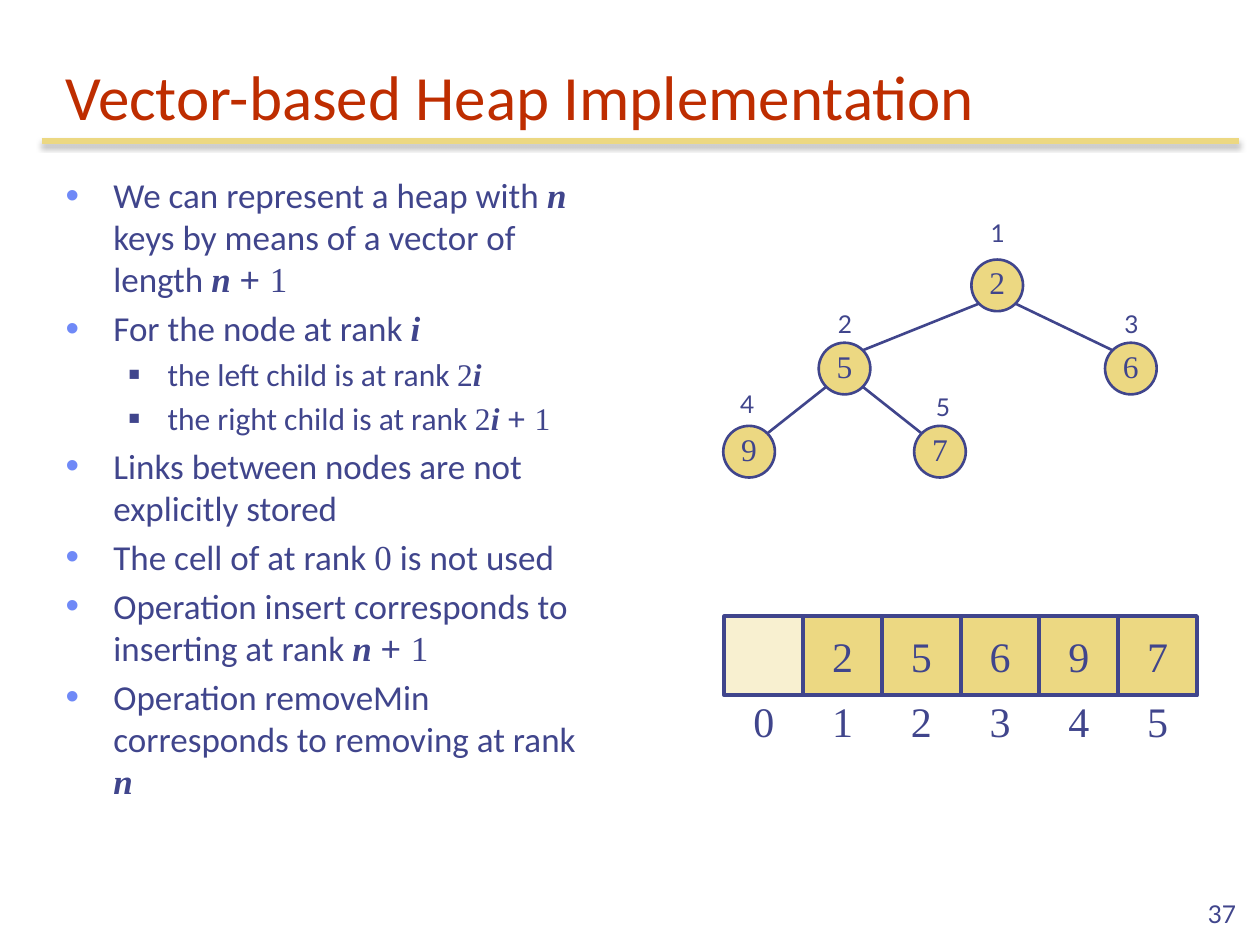
import math
from dataclasses import dataclass

import pptx
import pptx.dml.color
import pptx.enum.shapes
import pptx.enum.text
import pptx.oxml
import pptx.oxml.ns
import pptx.util

Inches, Pt = pptx.util.Inches, pptx.util.Pt
Align, Anchor = pptx.enum.text.PP_ALIGN, pptx.enum.text.MSO_ANCHOR
Shape = pptx.enum.shapes.MSO_SHAPE
STRAIGHT = pptx.enum.shapes.MSO_CONNECTOR.STRAIGHT


@dataclass(frozen=True)
class Theme:
    ink: str = "40458C"
    heading: str = "BE2D00"
    gold: str = "ECD882"
    pale: str = "F8F0D0"
    bullet: str = "6F89F7"
    sans: str = "Calibri"
    serif: str = "Times New Roman"
    plain: str = "Arial"
    label: str = "Lato"
    title_size: int = 36
    body_size: int = 20
    sub_size: int = 18
    node_size: int = 18
    cell_size: int = 24
    label_size: int = 14


THEME = Theme()

# Span styles: font name, bold italic
STYLES = {
    "text": (THEME.sans, False),
    "variable": (THEME.serif, True),
    "digit": (THEME.serif, False),
    "sign": (THEME.plain, False),
}
# Level: size, text indent, hanging indent, bullet, bullet colour, bullet percent
LEVELS = [
    (THEME.body_size, 0.38, 0.38, "•", THEME.bullet, 110),
    (THEME.sub_size, 0.81, 0.31, "■", THEME.ink, 60),
]
PLUS_ONE = [("+ ", "sign"), ("1", "digit")]
POINTS = [
    (0, [("We can represent a heap with ", "text"), ("n", "variable"),
         (" keys by means of a vector of length ", "text"), ("n ", "variable"), *PLUS_ONE]),
    (0, [("For the node at rank ", "text"), ("i", "variable")]),
    (1, [("the left child is at rank ", "text"), ("2", "digit"), ("i", "variable")]),
    (1, [("the right child is at rank ", "text"), ("2", "digit"), ("i ", "variable"), *PLUS_ONE]),
    (0, [("Links between nodes are not explicitly stored", "text")]),
    (0, [("The cell of at rank ", "text"), ("0", "digit"), (" is not used", "text")]),
    (0, [("Operation insert corresponds to inserting at rank ", "text"),
         ("n ", "variable"), *PLUS_ONE]),
    (0, [("Operation removeMin corresponds to removing at rank ", "text"), ("n", "variable")]),
]

KEYS = [2, 5, 6, 9, 7]
# Per rank: share of the tree's width, label shift sideways, label rise
NODE_PLACES = [(0.65, 0, 0.38), (0.25, 0, 0.32), (1, 0, 0.32), (0, -0.02, 0.34), (0.5, 0.02, 0.32)]
NODE = 0.41


def rgb(value):
    return pptx.dml.color.RGBColor.from_string(value)


def set_values(target, values):
    for name, value in values.items():
        setattr(target, name, value)


def add_xml(parent, markup):
    namespace = pptx.oxml.ns.nsdecls("a")
    parent.append(pptx.oxml.parse_xml(markup.replace(">", f" {namespace}>", 1)
                                      if "/>" not in markup.split(">")[0] + ">"
                                      else markup.replace("/>", f" {namespace}/>", 1)))


def add_span(para, text, size, font, color=THEME.ink, slanted=False):
    span = para.add_run()
    span.text = str(text)
    set_values(span.font, {"size": Pt(size), "name": font, "bold": slanted, "italic": slanted})
    span.font.color.rgb = rgb(color)


def write(shape, text, size, font, align=Align.CENTER, color=THEME.ink, **frame_values):
    set_values(shape.text_frame, frame_values)
    para = shape.text_frame.paragraphs[0]
    para.alignment = align
    add_span(para, text, size, font, color)


def place(shape, box):
    set_values(shape, dict(zip(("left", "top", "width", "height"), map(Inches, box))))


def add_box(page, kind, box, fill, line_width):
    shape = page.shapes.add_shape(kind, *map(Inches, box))
    shape.shadow.inherit = False
    shape.fill.solid()
    shape.fill.fore_color.rgb = rgb(fill)
    shape.line.color.rgb = rgb(THEME.ink)
    shape.line.width = Pt(line_width)
    return shape


def add_line(page, start, end, color, width, effect=""):
    line = page.shapes.add_connector(STRAIGHT, *map(Inches, (*start, *end)))
    line.line.color.rgb = rgb(color)
    line.line.width = Pt(width)
    add_xml(line._element.spPr, f"<a:effectLst>{effect}</a:effectLst>")


def add_heading(page, box):
    left, top, width, height = box
    title = page.shapes.title
    place(title, box)
    write(title, "Vector-based Heap Implementation", THEME.title_size, THEME.sans, Align.LEFT,
          THEME.heading, vertical_anchor=Anchor.BOTTOM,
          auto_size=pptx.enum.text.MSO_AUTO_SIZE.NONE)
    shadow = (f'<a:outerShdw blurRad="{Pt(3.1)}" dist="{Pt(1.8)}" dir="5400000" rotWithShape="0">'
              '<a:srgbClr val="000000"><a:alpha val="35000"/></a:srgbClr></a:outerShdw>')
    rule = top + height + 0.01
    add_line(page, (left - 0.09, rule), (left + width + 0.08, rule), THEME.gold, 3, shadow)


def add_points(page, box):
    body = page.placeholders[1]
    place(body, box)
    body.text_frame.auto_size = pptx.enum.text.MSO_AUTO_SIZE.NONE
    for index, (level, spans) in enumerate(POINTS):
        para = body.text_frame.paragraphs[0] if index == 0 else body.text_frame.add_paragraph()
        size, indent, hanging, mark, color, percent = LEVELS[level]
        set_values(para, {"level": level, "space_before": Pt(size * 0.2)})
        props = para._p.get_or_add_pPr()
        props.set("marL", str(Inches(indent)))
        props.set("indent", str(-Inches(hanging)))
        for markup in (f'<a:buClr><a:srgbClr val="{color}"/></a:buClr>',
                       f'<a:buSzPct val="{percent * 1000}"/>',
                       f'<a:buFont typeface="{THEME.plain}"/>',
                       f'<a:buChar char="{mark}"/>'):
            add_xml(props, markup)
        for text, style in spans:
            font, slanted = STYLES[style]
            add_span(para, text, size, font, slanted=slanted)


def add_tree(page, box):
    """Draw the heap with its root on the top row; the parent of rank r is r // 2."""
    left, top, width, height = box
    row = (height - NODE) / 2
    corners = {}
    for rank, (key, (share, shift, rise)) in enumerate(zip(KEYS, NODE_PLACES), 1):
        x = left + share * (width - NODE)
        y = top + int(math.log2(rank)) * row
        corners[rank] = x, y
        node = add_box(page, Shape.OVAL, (x, y, NODE, NODE), THEME.gold, 1.5)
        write(node, key, THEME.node_size, THEME.serif, vertical_anchor=Anchor.MIDDLE,
              word_wrap=False, margin_left=0, margin_right=0, margin_top=0,
              margin_bottom=Inches(0.05))
        label = page.shapes.add_textbox(
            *map(Inches, (x + NODE / 2 - 0.15 + shift, y - rise, 0.3, 0.34)))
        write(label, rank, THEME.label_size, THEME.label, word_wrap=False)
    near = NODE / 2 * (1 - math.sqrt(0.5))
    far = NODE - near
    for rank in range(2, len(KEYS) + 1):
        (x, y), (parent_x, parent_y) = corners[rank], corners[rank // 2]
        is_left = rank % 2 == 0
        add_line(page, (parent_x + (near if is_left else far), parent_y + far),
                 (x + (far if is_left else near), y + near), THEME.ink, 1.5)


def add_vector(page, box):
    left, top, width, height = box
    column = width / (len(KEYS) + 1)
    for rank, key in enumerate(["", *KEYS]):
        x = left + rank * column
        fill = THEME.gold if rank else THEME.pale
        cell = add_box(page, Shape.RECTANGLE, (x, top, column, height), fill, 2.25)
        if rank:
            write(cell, key, THEME.cell_size, THEME.serif, vertical_anchor=Anchor.MIDDLE,
                  word_wrap=False)
        index = page.shapes.add_textbox(*map(Inches, (x + column / 4, top + height, column / 2, 0.4)))
        write(index, rank, THEME.cell_size, THEME.serif, word_wrap=True,
              margin_left=0, margin_right=0, margin_top=0, margin_bottom=0)


def add_page_number(page, box):
    number = page.shapes.add_textbox(*map(Inches, box))
    write(number, 37, THEME.label_size, THEME.label, Align.RIGHT, word_wrap=True,
          vertical_anchor=Anchor.BOTTOM)


def main():
    deck = pptx.Presentation()
    set_values(deck, {"slide_width": Inches(10), "slide_height": Inches(7.5)})
    page = deck.slides.add_slide(deck.slide_layouts[1])
    add_heading(page, (0.42, 0.33, 9.33, 0.78))
    add_points(page, (0.42, 1.33, 4.42, 5.76))
    add_tree(page, (5.74, 2.06, 3.44, 1.73))
    add_vector(page, (5.75, 4.89, 3.75, 0.63))
    add_page_number(page, (7.83, 6.92, 2.08, 0.5))
    deck.save("out.pptx")


if __name__ == "__main__":
    main()
